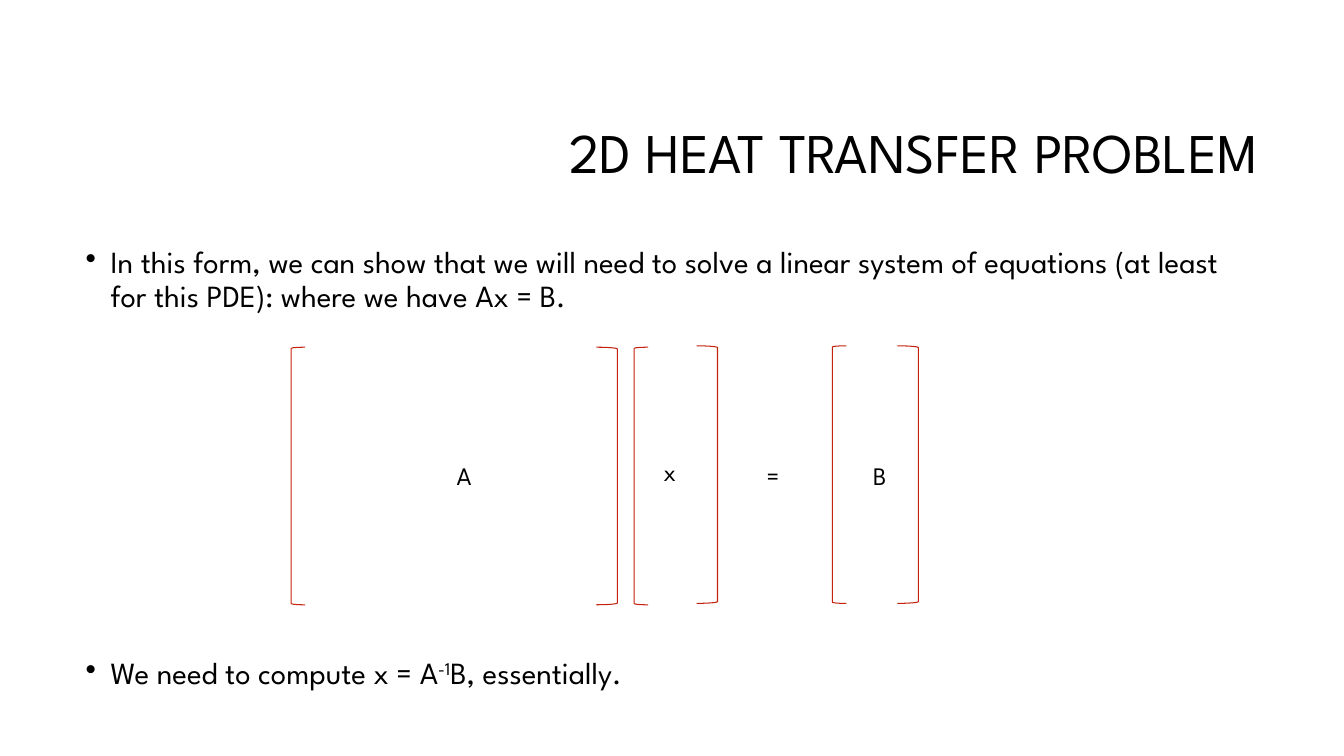
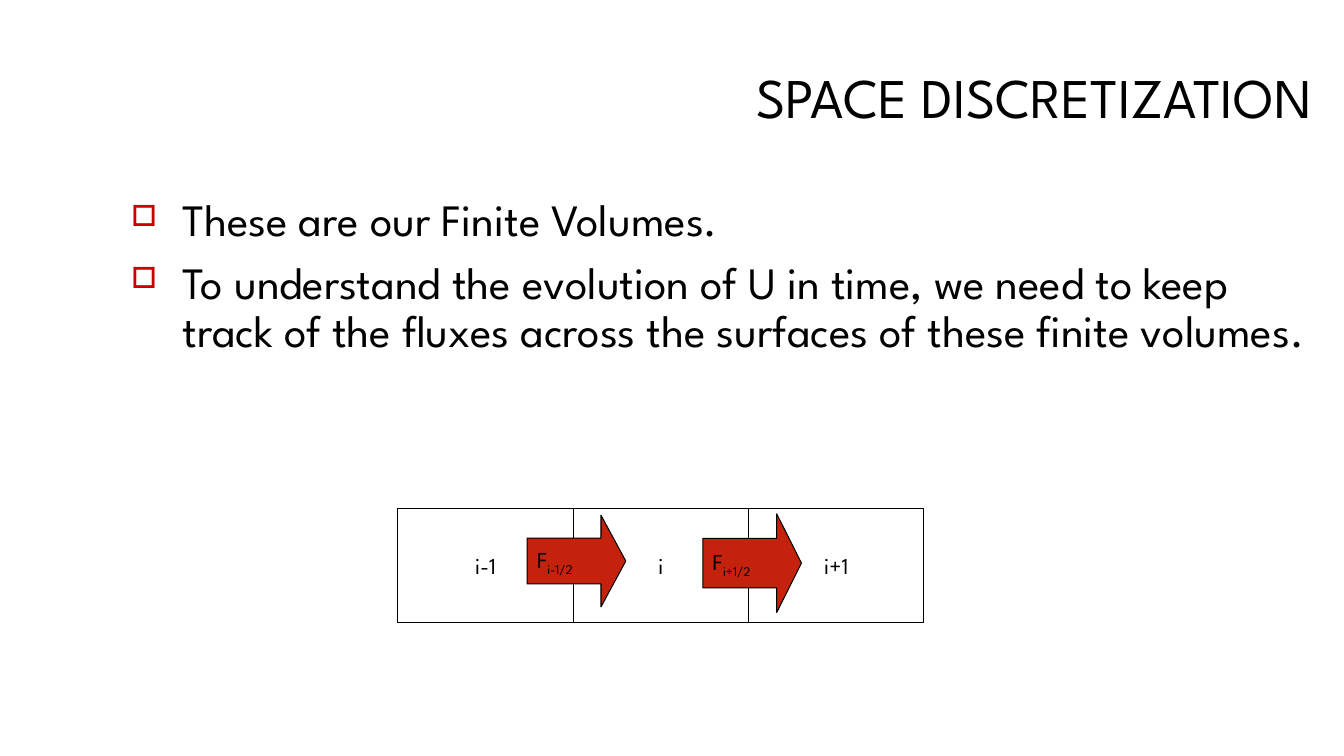
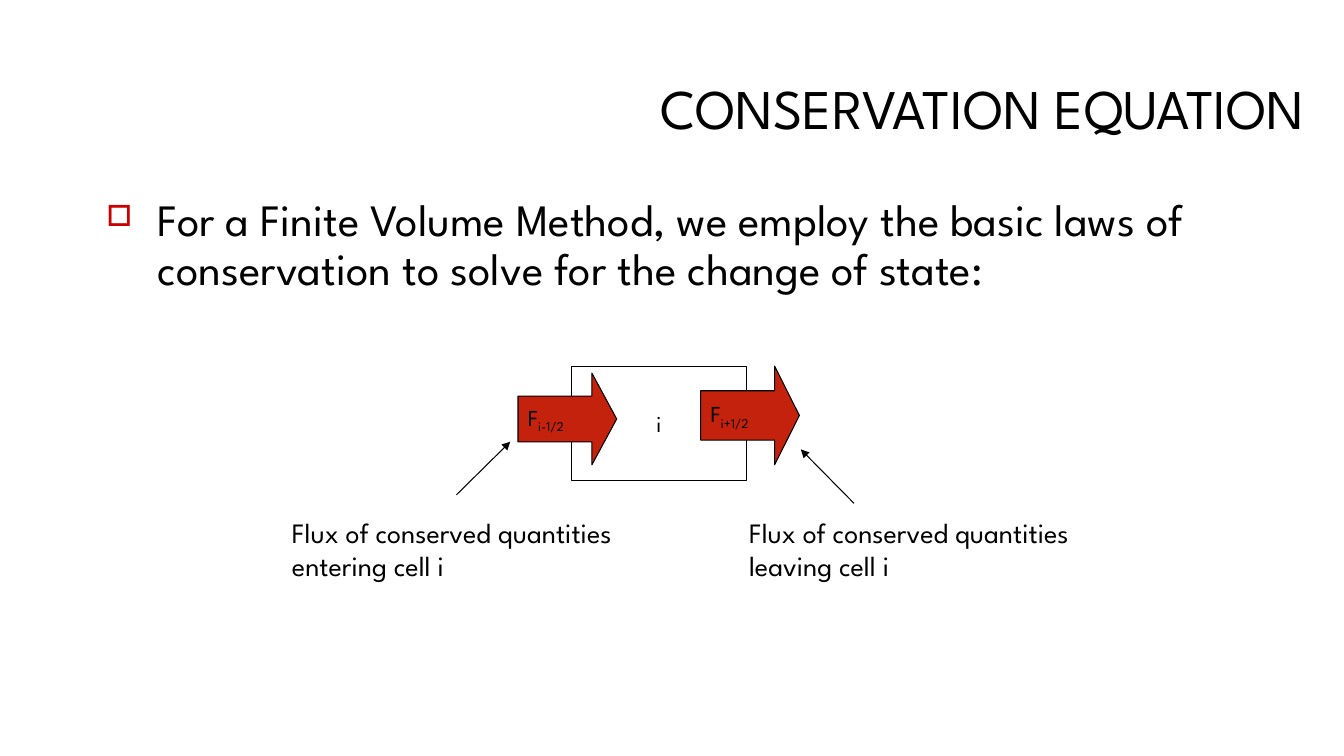
from lxml import etree
from pptx import Presentation
from pptx.dml.color import RGBColor
from pptx.enum.shapes import MSO_CONNECTOR, MSO_SHAPE
from pptx.enum.text import MSO_ANCHOR, PP_ALIGN
from pptx.oxml.ns import qn
from pptx.util import Pt

LEFT_BRACKET, RIGHT_BRACKET = MSO_SHAPE.LEFT_BRACKET, MSO_SHAPE.RIGHT_BRACKET
RECTANGLE, RIGHT_ARROW = MSO_SHAPE.RECTANGLE, MSO_SHAPE.RIGHT_ARROW
STRAIGHT = MSO_CONNECTOR.STRAIGHT
TOP, MIDDLE = MSO_ANCHOR.TOP, MSO_ANCHOR.MIDDLE
LEFT, CENTER, RIGHT = PP_ALIGN.LEFT, PP_ALIGN.CENTER, PP_ALIGN.RIGHT

FONT = "League Spartan"
BLACK, WHITE, RED = "000000", "FFFFFF", "C4220D"
DOT = {"char": "•", "color": BLACK, "percent": 100, "indent": 18}
SQUARE = {"char": "□", "color": "CC0000", "percent": 65, "indent": 36.75}

SYSTEM = {
    "title": ("2D HEAT TRANSFER PROBLEM", (228, 60.5, 678, 101.5)),
    "bodies": [
        (["In this form, we can show that we will need to solve a linear system of "
          "equations (at least for this PDE): where we have Ax = B."], (54, 173, 852, 60)),
        ([[("We need to compute x = A", 0), ("-1", 30), ("B, essentially.", 0)]],
         (54, 466.5, 852, 40)),
    ],
    "bullet": DOT,
    "size": 22,
}
BRACKET_HEIGHT, LEFT_WIDTH, RIGHT_WIDTH = 184, 10, 15
MATRICES = [
    (208, 426, 248, 248),
    (453, 497.5, 248, 247),
    (594.5, 641, 247, 247),
]
SYMBOLS = [("A", 319, 325), ("x", 467, 322.5), ("=", 540.5, 325), ("B", 616.5, 325.5)]

VOLUMES = {
    "title": ("SPACE DISCRETIZATION", (314, 24, 630, 95.5)),
    "bodies": [
        (["These are our Finite Volumes.",
          "To understand the evolution of U in time, we need to keep track of the "
          "fluxes across the surfaces of these finite volumes."], (86.5, 138, 857.5, 336)),
    ],
    "bullet": SQUARE,
    "size": 32,
    "cells": (["i-1", "i", "i+1"], 284.25, 363),
    "fluxes": [("i-1/2", 376.5, 368, 65.5), ("i+1/2", 502, 367, 70.5)],
}
CONSERVATION = {
    "title": ("CONSERVATION EQUATION", (309, 31.5, 630, 95.5)),
    "bodies": [
        (["For a Finite Volume Method, we employ the basic laws of conservation to "
          "solve for the change of state:"], (69, 138, 864.5, 336)),
    ],
    "bullet": SQUARE,
    "size": 32,
    "cells": (["i"], 408, 261.5),
    "fluxes": [("i-1/2", 370, 266.5, 65.5), ("i+1/2", 500.5, 261.5, 70.5)],
}
CELL_WIDTH, CELL_HEIGHT = 125.25, 81.5
FLUX_WIDTH, FLUX_HEAD = 70.5, 17.7
NOTES = [
    ("Flux of conserved quantities leaving cell i", 528, (610, 359.5), (572, 321)),
    ("Flux of conserved quantities entering cell i", 201.5, (326, 353.5), (364.5, 315.5)),
]


def rgb(color):
    return RGBColor.from_string(color)


def add_bullet(paragraph, char, color, percent, indent):
    props = paragraph._p.get_or_add_pPr()
    props.set("marL", str(Pt(indent)))
    props.set("indent", str(-Pt(indent)))
    tint = etree.SubElement(props, qn("a:buClr"))
    etree.SubElement(tint, qn("a:srgbClr"), val=color)
    etree.SubElement(props, qn("a:buSzPct"), val=str(percent * 1000))
    etree.SubElement(props, qn("a:buChar"), char=char)


def write(shape, paragraphs, size=18, align=LEFT, anchor=TOP, spacing=1.0, bullet=None):
    frame = shape.text_frame
    frame.word_wrap = True
    frame.vertical_anchor = anchor
    for index, parts in enumerate(paragraphs):
        paragraph = frame.add_paragraph() if index else frame.paragraphs[0]
        paragraph.alignment = align
        paragraph.line_spacing = spacing
        if index:
            paragraph.space_before = Pt(10)
        if bullet:
            add_bullet(paragraph, **bullet)
        for words, baseline in [(parts, 0)] if isinstance(parts, str) else parts:
            run = paragraph.add_run()
            run.text = words
            run.font.name = FONT
            run.font.size = Pt(size)
            run.font.color.rgb = rgb(BLACK)
            if baseline:
                run.font._element.set("baseline", str(baseline * 1000))


def add_text(slide, paragraphs, box, **style):
    write(slide.shapes.add_textbox(*map(Pt, box)), paragraphs, **style)


def add_outline(slide, kind, box, line=BLACK, fill=None):
    shape = slide.shapes.add_shape(kind, *map(Pt, box))
    shape.shadow.inherit = False
    if fill:
        shape.fill.solid()
        shape.fill.fore_color.rgb = rgb(fill)
    else:
        shape.fill.background()
    shape.line.color.rgb = rgb(line)
    shape.line.width = Pt(0.75)
    return shape


def add_pointer(slide, start, end):
    pointer = slide.shapes.add_connector(STRAIGHT, *map(Pt, start + end))
    pointer.line.color.rgb = rgb(BLACK)
    pointer.line.width = Pt(0.75)
    etree.SubElement(pointer.line._get_or_add_ln(), qn("a:tailEnd"), type="triangle")
    etree.SubElement(pointer._element.spPr, qn("a:effectLst"))


def add_page(deck, page):
    slide = deck.slides.add_slide(deck.slide_layouts[6])
    title, box = page["title"]
    add_text(slide, [title], box, size=40, align=RIGHT, anchor=MIDDLE, spacing=0.9)
    for paragraphs, box in page["bodies"]:
        add_text(slide, paragraphs, box, size=page["size"], spacing=0.9, bullet=page["bullet"])
    return slide


def add_matrices(slide):
    for left, right, left_top, right_top in MATRICES:
        add_outline(slide, LEFT_BRACKET, (left, left_top, LEFT_WIDTH, BRACKET_HEIGHT), RED)
        add_outline(slide, RIGHT_BRACKET, (right, right_top, RIGHT_WIDTH, BRACKET_HEIGHT), RED)
    for symbol, left, top in SYMBOLS:
        add_text(slide, [symbol], (left, top, 48, 29))


def add_cells(slide, page):
    names, left, top = page["cells"]
    for index, name in enumerate(names):
        box = (left + index * CELL_WIDTH, top, CELL_WIDTH, CELL_HEIGHT)
        cell = add_outline(slide, RECTANGLE, box, fill=WHITE)
        write(cell, [name], size=16.3, align=CENTER, anchor=MIDDLE)
    for face, left, top, height in page["fluxes"]:
        flux = add_outline(slide, RIGHT_ARROW, (left, top, FLUX_WIDTH, height), fill=RED)
        flux.adjustments[1] = FLUX_HEAD / height
        write(flux, [[("F", 0), (face, -25)]], size=16.3, anchor=MIDDLE)


def main():
    deck = Presentation()
    deck.slide_width, deck.slide_height = Pt(960), Pt(540)
    add_matrices(add_page(deck, SYSTEM))
    add_cells(add_page(deck, VOLUMES), VOLUMES)
    conservation = add_page(deck, CONSERVATION)
    add_cells(conservation, CONSERVATION)
    for note, left, start, end in NOTES:
        add_text(conservation, [note], (left, 364.5, 272, 55.5), size=20)
        add_pointer(conservation, start, end)
    deck.save("out.pptx")


if __name__ == "__main__":
    main()
